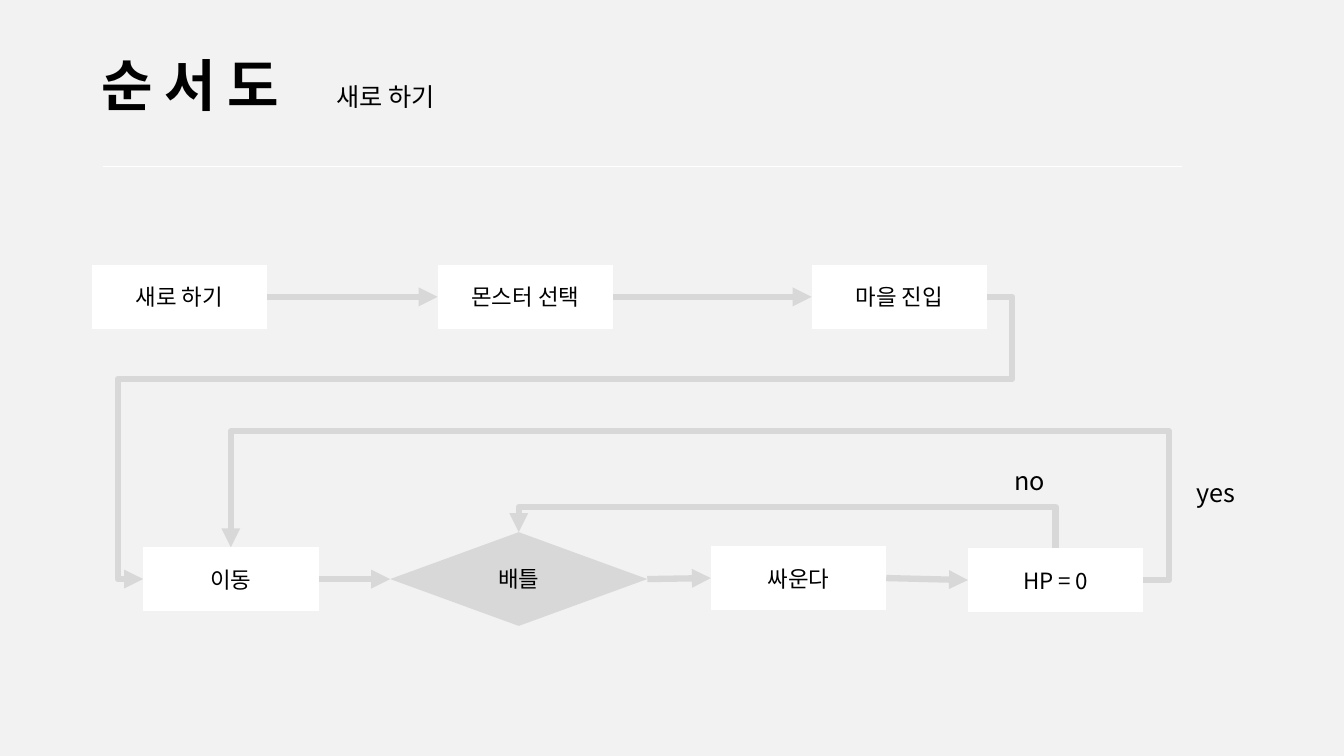
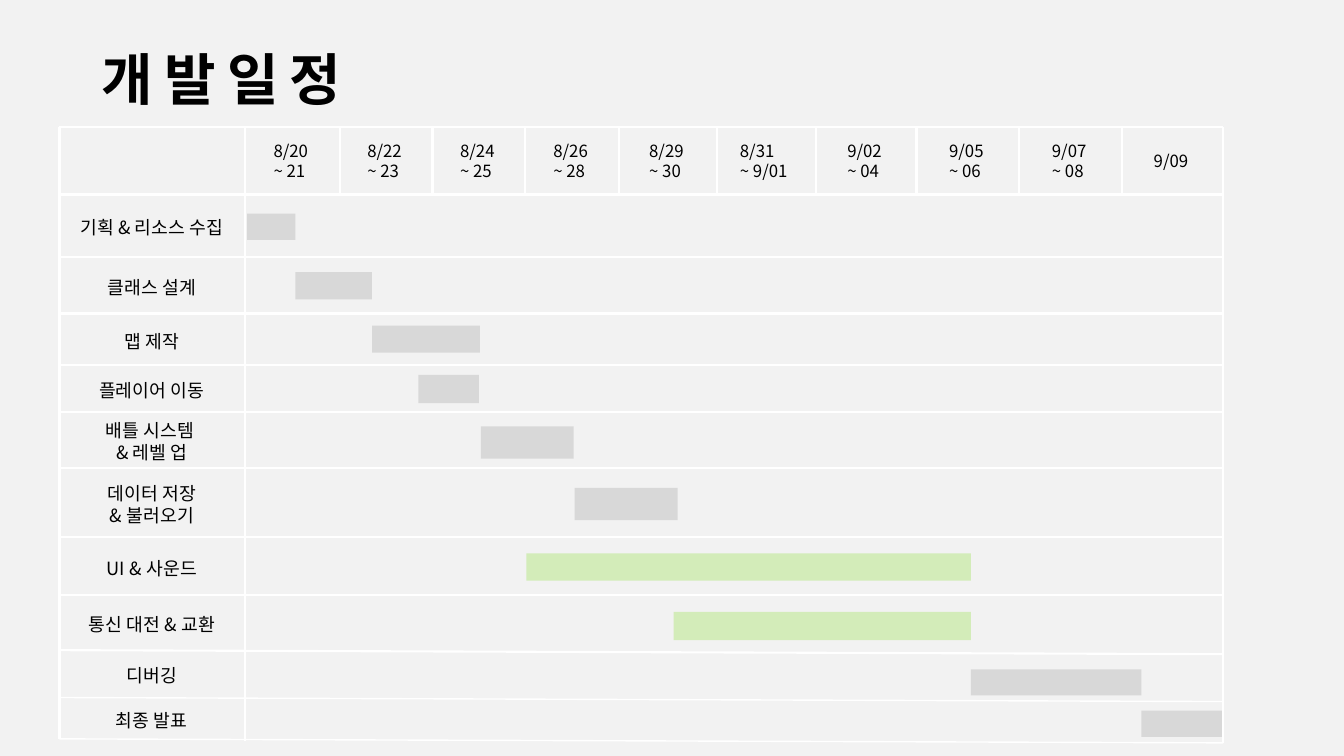
from pptx import Presentation
from pptx.dml.color import RGBColor
from pptx.enum.shapes import MSO_CONNECTOR, MSO_SHAPE
from pptx.enum.text import MSO_ANCHOR, MSO_AUTO_SIZE, PP_ALIGN
from pptx.oxml.ns import qn
from pptx.util import Inches, Pt
from lxml.etree import SubElement

FACE = "Noto Sans CJK KR"
PAPER, WHITE, GRAY, GREEN, INK = "F2F2F2", "FFFFFF", "D8D8D8", "D3ECB9", "000000"
TITLE = {"size": Pt(40), "bold": True}
NOTE = {"size": Pt(18)}
NODE = {"size": Pt(16)}
LABEL = {"size": Pt(13)}
DATE = {"size": Pt(12)}
TOP, LEFT, RIGHT = 0, 1, 3


def tint(code):
    return RGBColor.from_string(code)


# Shared parts
def write(frame, text, form, align=PP_ALIGN.LEFT, gap=0):
    frame.word_wrap = True
    for num, line in enumerate(text.split("\n")):
        para = frame.add_paragraph() if num else frame.paragraphs[0]
        para.alignment = align
        run = para.add_run()
        run.text = line
        for key, value in {"name": FACE, **form}.items():
            setattr(run.font, key, value)
        run.font.color.rgb = tint(INK)
        props = run.font._element
        SubElement(props, qn("a:ea")).set("typeface", FACE)
        if gap:
            props.set("spc", str(gap))


def label(slide, box, text, form, align=PP_ALIGN.LEFT, gap=0):
    frame = slide.shapes.add_textbox(*map(Inches, box)).text_frame
    write(frame, text, form, align, gap)
    frame.auto_size = MSO_AUTO_SIZE.SHAPE_TO_FIT_TEXT


def block(slide, box, fill, kind=MSO_SHAPE.RECTANGLE):
    shape = slide.shapes.add_shape(kind, *map(Inches, box))
    shape.shadow.inherit = False
    shape.fill.solid()
    shape.fill.fore_color.rgb = tint(fill)
    shape.line.fill.background()
    return shape


def ink(link, color, width):
    link.line.color.rgb = tint(color)
    link.line.width = Pt(width)
    SubElement(link._element.spPr, qn("a:effectLst"))


def rule(slide, start, end, width):
    ends = map(Inches, (*start, *end))
    link = slide.shapes.add_connector(MSO_CONNECTOR.STRAIGHT, *ends)
    ink(link, WHITE, width)


def page(deck, title, top):
    slide = deck.slides.add_slide(deck.slide_layouts[6])
    slide.background.fill.solid()
    slide.background.fill.fore_color.rgb = tint(PAPER)
    label(slide, (0.91, top, 6.93, 0.77), title, TITLE, gap=810)
    return slide


# Arrows between nodes
def bend(link, first, turns):
    """Turn points alternate between the x and y axes, beginning with first."""
    start = {"x": link.begin_x, "y": link.begin_y}
    span = {"x": link.end_x - link.begin_x, "y": link.end_y - link.begin_y}
    geom = link._element.spPr.find(qn("a:prstGeom"))
    geom.set("prst", f"bentConnector{len(turns) + 2}")
    guides = geom.find(qn("a:avLst"))
    if guides is None:
        guides = SubElement(geom, qn("a:avLst"))
    axis = first
    for num, turn in enumerate(turns, 1):
        ratio = (Inches(turn) - start[axis]) / span[axis]
        guide = SubElement(guides, qn("a:gd"))
        guide.set("name", f"adj{num}" if len(turns) > 1 else "adj1")
        guide.set("fmla", f"val {round(ratio * 100000)}")
        axis = "y" if axis == "x" else "x"
    if first == "y":
        # An upward start is a quarter turn of the sideways form
        wide, high = abs(span["y"]), abs(span["x"])
        link.left = start["x"] + (span["x"] - wide) // 2
        link.top = start["y"] + (span["y"] - high) // 2
        link.width, link.height = wide, high
        frame = link._element.spPr.find(qn("a:xfrm"))
        for key, value in {"rot": "16200000", "flipH": "0", "flipV": "1"}.items():
            frame.set(key, value)


def arrow(slide, tail, side, head, port, first="x", turns=()):
    kind = MSO_CONNECTOR.ELBOW if turns else MSO_CONNECTOR.STRAIGHT
    link = slide.shapes.add_connector(kind, 0, 0, 0, 0)
    link.begin_connect(tail, side)
    link.end_connect(head, port)
    if turns:
        bend(link, first, turns)
    ink(link, GRAY, 4.5)
    SubElement(link.line._get_or_add_ln(), qn("a:tailEnd")).set("type", "triangle")


# Flow chart
def flow(slide, left, top):
    def node(x, y, text, size=(1.74, 0.63), fill=WHITE,
             kind=MSO_SHAPE.FLOWCHART_PROCESS):
        shape = block(slide, (left + x, top + y, *size), fill, kind)
        shape.text_frame.vertical_anchor = MSO_ANCHOR.MIDDLE
        write(shape.text_frame, text, NODE, PP_ALIGN.CENTER)
        return shape

    begin = node(0, 0, "새로 하기")
    choose = node(3.43, 0, "몬스터 선택")
    town = node(7.14, 0, "마을 진입")
    move = node(0.51, 2.8, "이동")
    battle = node(2.96, 2.65, "배틀", (2.55, 0.93), GRAY,
                  MSO_SHAPE.FLOWCHART_DECISION)
    fight = node(6.14, 2.79, "싸운다")
    check = node(8.69, 2.81, "HP = 0")

    for tail, head in ((begin, choose), (choose, town), (move, battle),
                       (battle, fight), (fight, check)):
        arrow(slide, tail, RIGHT, head, LEFT)
    arrow(slide, town, RIGHT, move, LEFT, "x",
          (left + 9.13, top + 1.13, left + 0.26))
    arrow(slide, check, RIGHT, move, TOP, "x", (left + 10.68, top + 1.65))
    arrow(slide, check, TOP, battle, TOP, "y", (top + 2.4,))

    for x, y, text in ((10.86, 2.06, "yes"), (9.05, 1.94, "no")):
        label(slide, (left + x, top + y, 0.67, 0.4), text, NOTE)


# Schedule: dates across, tasks down
DATES = ("8/20 ~ 21", "8/22 ~ 23", "8/24 ~ 25", "8/26 ~ 28", "8/29 ~ 30",
         "8/31 \n~ 9/01", "9/02 ~ 04", "9/05 ~ 06", "9/07 ~ 08", "9/09")
EDGES = (1.84, 2.78, 3.7, 4.62, 5.55, 6.52, 7.5, 8.5, 9.52, 10.54, 11.54)
# Task, row bottom, drop of its line, line width, bar box, bar colour
TASKS = (
    ("기획 & 리소스 수집", 1.29, 0, 1.5, (1.86, 0.86, 0.48, 0.26), GRAY),
    ("클래스 설계", 1.85, 0, 1.5, (2.34, 1.44, 0.76, 0.27), GRAY),
    ("맵 제작", 2.36, 0, 1.5, (3.1, 1.97, 1.07, 0.27), GRAY),
    ("플레이어 이동", 2.83, 0, 1.5, (3.56, 2.46, 0.6, 0.28), GRAY),
    ("배틀 시스템 \n& 레벨 업", 3.38, 0, 1.5, (4.18, 2.97, 0.92, 0.32), GRAY),
    ("데이터 저장\n& 불러오기", 4.07, 0, 1.5, (5.11, 3.58, 1.02, 0.32), GRAY),
    ("UI & 사운드", 4.64, 0, 1.5, (4.63, 4.23, 4.41, 0.27), GREEN),
    ("통신 대전 & 교환", 5.19, 0.04, 1.5, (6.09, 4.81, 2.95, 0.28), GREEN),
    ("디버깅", 5.66, 0.04, 1, (9.04, 5.38, 1.69, 0.26), GRAY),
    ("최종 발표", 6.07, 0.04, 1, (10.73, 5.79, 0.8, 0.26), GRAY),
)


def plan(slide, left, top, head):
    right, base = left + EDGES[-1], top + TASKS[-1][1]

    # Task rows
    above = head
    for text, below, drop, width, (x, y, wide, high), fill in TASKS:
        tall = 0.54 if "\n" in text else 0.32
        mid = top + (above + below) / 2 + 0.02
        label(slide, (left, mid - tall / 2, 1.83, tall), text, LABEL,
              PP_ALIGN.CENTER, 10)
        block(slide, (left + x, top + y, wide, high), fill)
        rule(slide, (left, top + below), (right, top + below + drop), width)
        above = below

    # Date columns
    for text, near, far in zip(DATES, EDGES, EDGES[1:]):
        wide = 0.72 if "\n" in text else 0.57
        tall = 0.5 if "~" in text else 0.3
        label(slide, (left + (near + far - wide) / 2, top + (head - tall) / 2,
                      wide, tall), text, DATE)

    # Frame
    for y in (top, top + head):
        rule(slide, (left, y), (right, y), 1.5)
    for x in EDGES[1:-1]:
        rule(slide, (left + x, top), (left + x, top + head), 1.5)
    for x, drop in ((left, 0), (left + EDGES[0], 0.02), (right, 0.04)):
        rule(slide, (x, top), (x, base + drop), 1.5)


deck = Presentation()
deck.slide_width, deck.slide_height = Inches(13.33), Inches(7.5)

chart = page(deck, "순서도", 0.45)
label(chart, (3.24, 0.76, 3.97, 0.4), "새로 하기", NOTE)
rule(chart, (1.02, 1.65), (11.72, 1.65), 1)
flow(chart, 0.91, 2.63)

dates = page(deck, "개발일정", 0.39)
plan(dates, 0.59, 1.26, 0.67)

deck.save("out.pptx")
